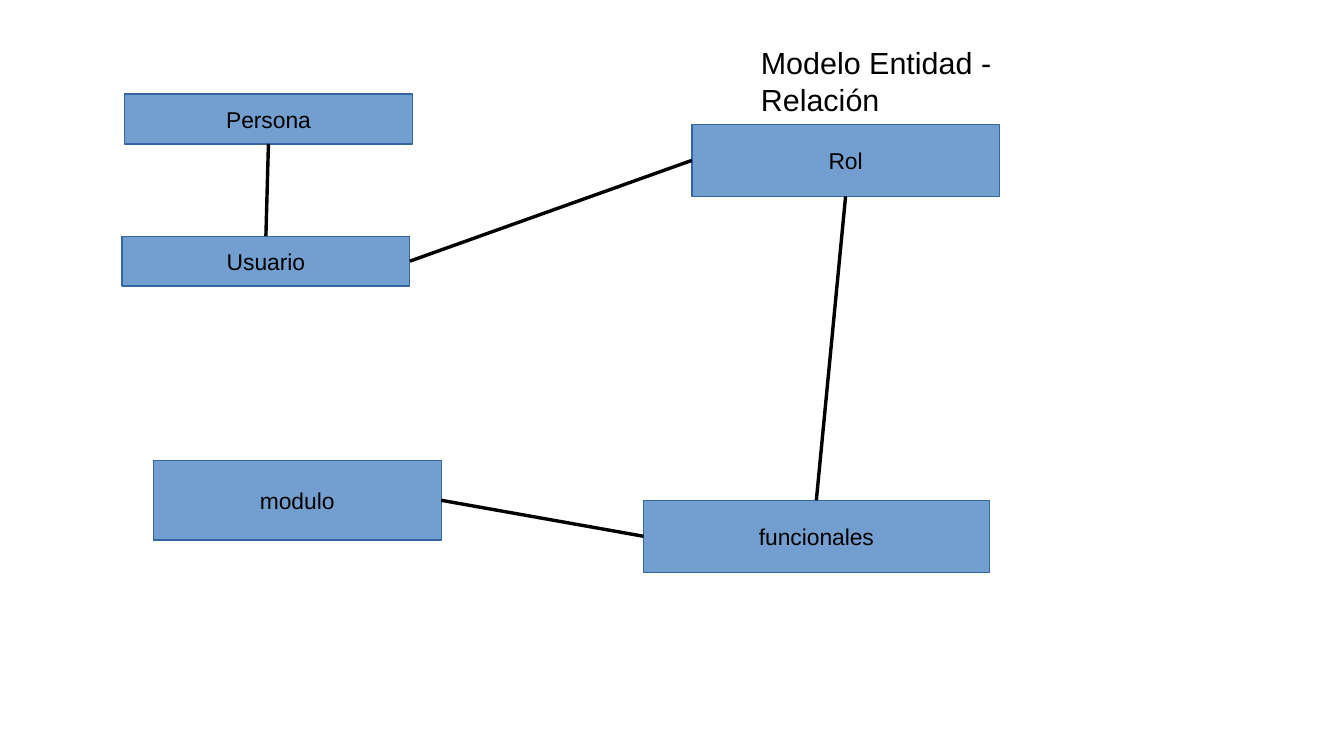
from pptx import Presentation
from pptx.dml.color import RGBColor
from pptx.enum.shapes import MSO_CONNECTOR, MSO_SHAPE
from pptx.enum.text import MSO_ANCHOR, MSO_AUTO_SIZE, PP_ALIGN
from pptx.oxml.ns import qn
from pptx.util import Pt
from lxml import etree

RECTANGLE = MSO_SHAPE.RECTANGLE
STRAIGHT = MSO_CONNECTOR.STRAIGHT
TOP, LEFT, BOTTOM, RIGHT = range(4)  # connection sites of a rectangle
TITLE_ONLY = 5
FONT = "Arial"
COLORS = {"fill": "729FCF", "border": "3465A4", "ink": "000000"}


def color(name):
    return RGBColor.from_string(COLORS[name])


def write(shape, text, size, alignment, anchor):
    """Put one formatted paragraph into the shape."""
    frame = shape.text_frame
    frame.text = text
    frame.vertical_anchor = anchor
    frame.auto_size = MSO_AUTO_SIZE.NONE
    frame.word_wrap = True
    para = frame.paragraphs[0]
    para.alignment = alignment
    font = para.runs[0].font
    font.name = FONT
    font.size = Pt(size)
    font.color.rgb = color("ink")


deck = Presentation()
deck.slide_width, deck.slide_height = Pt(793.5), Pt(446.5)
page = deck.slides.add_slide(deck.slide_layouts[TITLE_ONLY])

title = page.shapes.title
title.left, title.top, title.width, title.height = Pt(442), Pt(22.5), Pt(223), Pt(27.5)
write(title, "Modelo Entidad - Relación", 18, PP_ALIGN.LEFT, MSO_ANCHOR.TOP)

# Entity: left, top, width, height
entities = {
    "Persona": (73.5, 55.5, 170, 29.5),
    "Usuario": (72, 139.5, 170, 29.5),
    "Rol": (408.5, 73.5, 181.5, 42.5),
    "modulo": (90.5, 272, 170, 47),
    "funcionales": (380, 295.5, 204, 42.5),
}
boxes = {}
for name, frame in entities.items():
    box = page.shapes.add_shape(RECTANGLE, *map(Pt, frame))
    box.shadow.inherit = False
    box.fill.solid()
    box.fill.fore_color.rgb = color("fill")
    box.line.color.rgb = color("border")
    box.line.width = Pt(0)
    write(box, name, 13.5, PP_ALIGN.CENTER, MSO_ANCHOR.MIDDLE)
    boxes[name] = box

relations = [
    ("Usuario", TOP, "Persona", BOTTOM),
    ("Usuario", RIGHT, "Rol", LEFT),
    ("modulo", RIGHT, "funcionales", LEFT),
    ("funcionales", TOP, "Rol", BOTTOM),
]
for source, source_site, target, target_site in relations:
    link = page.shapes.add_connector(STRAIGHT, 0, 0, 0, 0)
    link.begin_connect(boxes[source], source_site)
    link.end_connect(boxes[target], target_site)
    link.line.color.rgb = color("ink")
    link.line.width = Pt(0)
    etree.SubElement(link.element.spPr, qn("a:effectLst"))

deck.save("out.pptx")
